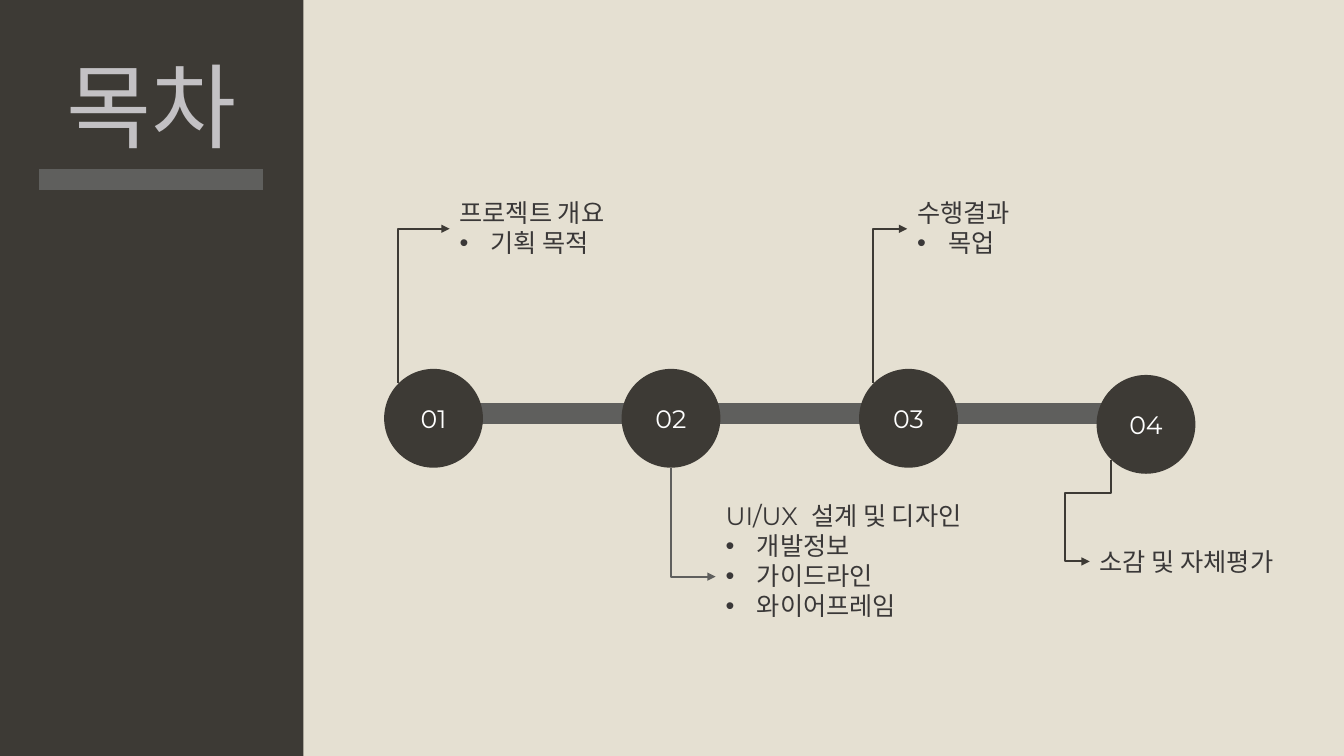
from dataclasses import dataclass

from lxml import etree
from pptx import Presentation
from pptx.dml.color import RGBColor
from pptx.enum.shapes import MSO_CONNECTOR, MSO_SHAPE
from pptx.enum.text import MSO_ANCHOR, MSO_AUTO_SIZE, PP_ALIGN
from pptx.oxml.ns import qn
from pptx.util import Inches, Pt

RECT, OVAL = MSO_SHAPE.RECTANGLE, MSO_SHAPE.OVAL
STRAIGHT, ELBOW = MSO_CONNECTOR.STRAIGHT, MSO_CONNECTOR.ELBOW
LEFT, CENTER = PP_ALIGN.LEFT, PP_ALIGN.CENTER
MIDDLE = MSO_ANCHOR.MIDDLE
FIT = MSO_AUTO_SIZE.SHAPE_TO_FIT_TEXT


@dataclass(frozen=True)
class Theme:
    font: str = "Montserrat"
    background: str = "E5E0D2"
    dark: str = "3D3A35"
    bar: str = "5F5F5D"
    title: str = "C3C1C4"
    text: str = "3A3838"
    white: str = "FFFFFF"
    title_size: int = 66
    body_size: int = 18
    bar_width: float = 15
    arrow_width: float = 1.5
    indent: float = 0.31


class Deck:
    """Draws on one slide; every position and length is a percentage of its size."""

    def __init__(self, theme):
        self.theme = theme
        self.prs = Presentation()
        self.prs.slide_width, self.prs.slide_height = Inches(13.33), Inches(7.5)
        self.s = self.prs.slides.add_slide(self.prs.slide_layouts[6])
        fill = self.s.background.fill
        fill.solid()
        fill.fore_color.rgb = RGBColor.from_string(theme.background)

    def x(self, share):
        return round(self.prs.slide_width * share / 100)

    def y(self, share):
        return round(self.prs.slide_height * share / 100)

    def box(self, left, top, width, height):
        return self.x(left), self.y(top), self.x(width), self.y(height)

    def run(self, p, text, size, color):
        r = p.add_run()
        r.text = text
        r.font.name = self.theme.font
        r.font.size = Pt(size)
        r.font.color.rgb = RGBColor.from_string(color)

    def shape(self, kind, *box):
        sp = self.s.shapes.add_shape(kind, *self.box(*box))
        sp.shadow.inherit = False
        sp.fill.solid()
        sp.fill.fore_color.rgb = RGBColor.from_string(self.theme.dark)
        sp.line.fill.background()
        return sp

    def milestone(self, label, *box):
        tf = self.shape(OVAL, *box).text_frame
        tf.vertical_anchor = MIDDLE
        p = tf.paragraphs[0]
        p.alignment = CENTER
        self.run(p, label, self.theme.body_size, self.theme.white)

    def text(self, box, heading, bullets=(), size=None, color=None, align=LEFT):
        tf = self.s.shapes.add_textbox(*self.box(*box)).text_frame
        tf.word_wrap = False
        tf.auto_size = FIT
        for i, line in enumerate((heading, *bullets)):
            p = tf.add_paragraph() if i else tf.paragraphs[0]
            p.alignment = align
            if i:
                self.bullet(p)
            self.run(p, line, size or self.theme.body_size, color or self.theme.text)

    def bullet(self, p):
        pPr = p._p.get_or_add_pPr()
        indent = Inches(self.theme.indent)
        pPr.set("marL", str(indent))
        pPr.set("indent", str(-indent))
        etree.SubElement(pPr, qn("a:buFont"), typeface="Arial")
        etree.SubElement(pPr, qn("a:buChar"), char="•")

    def connector(self, kind, ends, color, width):
        c = self.s.shapes.add_connector(kind, *ends)
        c.line.color.rgb = RGBColor.from_string(color)
        c.line.width = Pt(width)
        etree.SubElement(c._element.spPr, qn("a:effectLst"))
        return c

    def bar(self, left, right, y):
        ends = self.x(left), self.y(y), self.x(right), self.y(y)
        self.connector(STRAIGHT, ends, self.theme.bar, self.theme.bar_width)

    def elbow(self, start, end, color, bends=()):
        """Arrow that leaves start vertically; bends are adjustments in 1/1000."""
        (x1, y1), (x2, y2) = [(self.x(a), self.y(b)) for a, b in (start, end)]
        cx, cy = (x1 + x2) // 2, (y1 + y2) // 2
        # A quarter turn swaps the sides of the frame about its centre.
        dx, dy = abs(y2 - y1) // 2, abs(x2 - x1) // 2
        c = self.connector(ELBOW, (cx - dx, cy - dy, cx + dx, cy + dy),
                           color, self.theme.arrow_width)
        spPr = c._element.spPr
        xfrm = spPr.find(qn("a:xfrm"))
        xfrm.set("rot", str(90 * 60000))
        if y2 < y1:
            xfrm.set("flipH", "1")
        if x2 > x1:
            xfrm.set("flipV", "1")
        geom = spPr.find(qn("a:prstGeom"))
        geom.set("prst", f"bentConnector{2 + len(bends)}")
        guides = geom.find(qn("a:avLst"))
        for i, bend in enumerate(bends, 1):
            etree.SubElement(guides, qn("a:gd"), name=f"adj{i}", fmla=f"val {bend * 100}")
        etree.SubElement(spPr.find(qn("a:ln")), qn("a:tailEnd"), type="triangle")


def main():
    theme = Theme()
    deck = Deck(theme)

    deck.shape(RECT, 0, 0, 22.58, 100)
    deck.text((3.6, 5.87, 15.38, 16.13), "목차",
              size=theme.title_size, color=theme.title, align=CENTER)
    deck.bar(2.93, 19.58, 23.73)

    deck.bar(28.8, 86.33, 54.67)
    for i, top in enumerate((48.8, 48.8, 48.8, 49.6)):
        deck.milestone(f"{i + 1:02}", 28.58 + 17.67 * i, top, 7.35, 13.07)

    deck.text((33.45, 25.47, 13.43, 9.47), "프로젝트 개요", ["기획 목적"])
    deck.text((53.25, 65.47, 20.63, 21.6), "UI/UX  설계 및 디자인",
              ["개발정보", "가이드라인", "와이어프레임"])
    deck.text((67.5, 25.47, 9.08, 9.47), "수행결과", ["목업"])
    deck.text((81.08, 71.6, 15.83, 5.33), "소감 및 자체평가")

    deck.elbow((29.63, 50.67), (33.45, 30.27), theme.dark)
    deck.elbow((49.95, 61.87), (53.25, 76.27), theme.bar)
    deck.elbow((64.95, 50.67), (67.5, 30.27), theme.dark)
    deck.elbow((82.65, 60.8), (81.08, 74.27), theme.dark, bends=(329, 2165))

    deck.prs.save("out.pptx")


if __name__ == "__main__":
    main()
